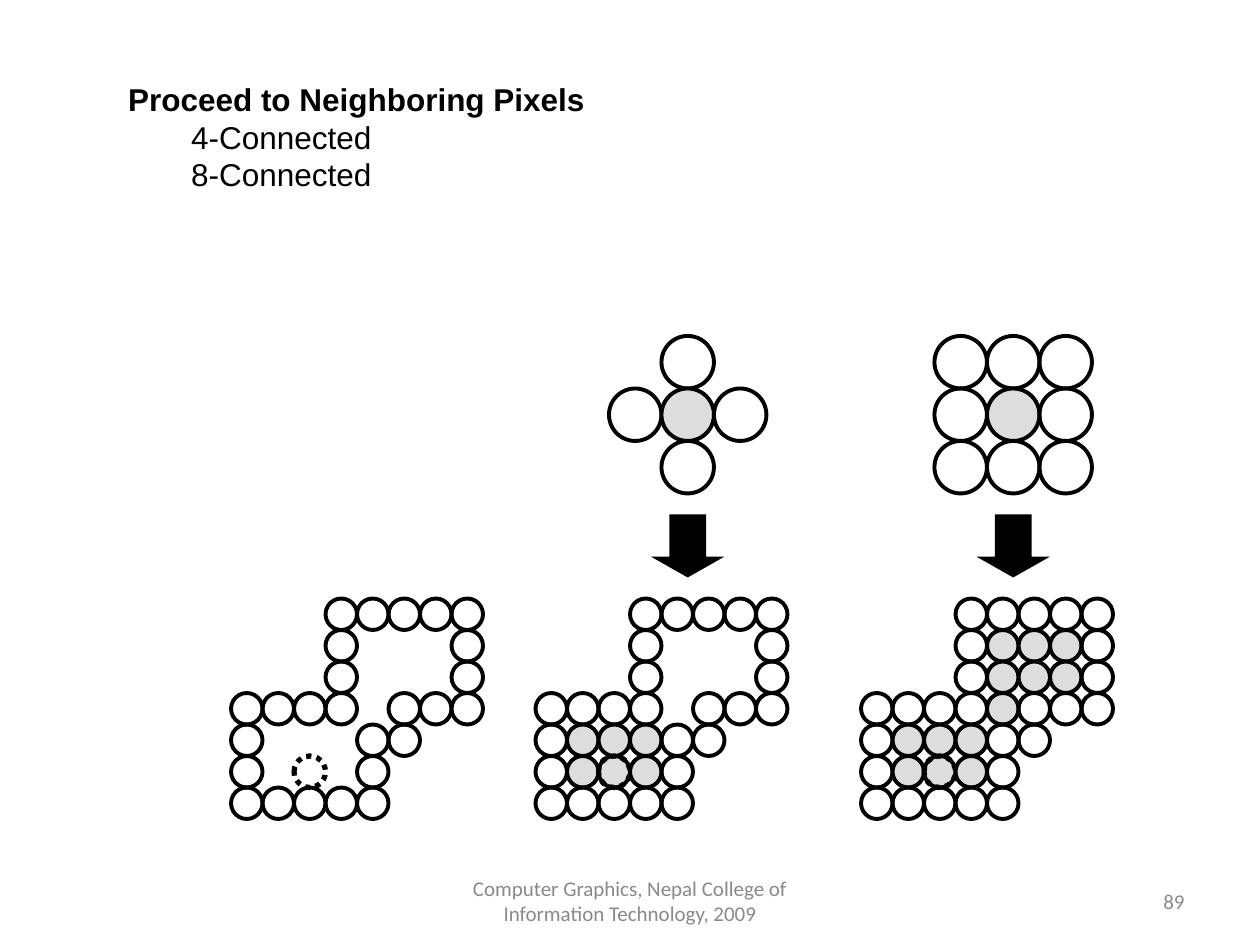
"""Build the slide on 4-connected and 8-connected neighboring pixels."""
from lxml import etree
from pptx import Presentation
from pptx.dml.color import RGBColor
from pptx.enum.dml import MSO_LINE
from pptx.enum.shapes import MSO_SHAPE
from pptx.enum.text import MSO_ANCHOR, MSO_AUTO_SIZE, PP_ALIGN
from pptx.oxml.ns import qn
from pptx.util import Pt

OVAL, DOWN_ARROW = MSO_SHAPE.OVAL, MSO_SHAPE.DOWN_ARROW
DOTTED = MSO_LINE.ROUND_DOT
TOP, MIDDLE = MSO_ANCHOR.TOP, MSO_ANCHOR.MIDDLE
LEFT, CENTER, RIGHT = PP_ALIGN.LEFT, PP_ALIGN.CENTER, PP_ALIGN.RIGHT
NO_FIT = MSO_AUTO_SIZE.NONE
BLACK = RGBColor(0x00, 0x00, 0x00)
SHADE = RGBColor(0xDD, 0xDD, 0xDD)
GRAY = RGBColor(0x89, 0x89, 0x89)

TITLE = "Proceed to Neighboring Pixels"
ITEMS = ["4-Connected", "8-Connected"]
FOOTER = "Computer Graphics, Nepal College of Information Technology, 2009"
PAGE = "89"

NEIGHBORS_4 = [".o.", "o#o", ".o."]
NEIGHBORS_8 = ["ooo", "o#o", "ooo"]
BOUNDARY = [
    "...ooooo",
    "...o...o",
    "...o...o",
    "oooo.ooo",
    "o...oo..",
    "o...o...",
    "ooooo...",
]
FILLED_4 = BOUNDARY[:4] + ["o###oo..", "o###o...", "ooooo..."]
FILLED_8 = ["...ooooo", "...o###o", "...o###o", "oooo#ooo"] + FILLED_4[4:]

PATTERNS = [(NEIGHBORS_4, 348, 192, 30), (NEIGHBORS_8, 534, 192, 30)]
REGIONS = [(BOUNDARY, 132), (FILLED_4, 306), (FILLED_8, 492)]
REGION_TOP, PIXEL = 342, 18
SEED_COL, SEED_ROW = 2, 5
ARROW_LEFTS = [372, 558]


def put_text(shape, lines, box, font="Arial", size=18, color=BLACK, bold=False,
             align=LEFT, anchor=TOP, indent=0):
    """Place a text shape and fill it with formatted paragraphs."""
    shape.left, shape.top, shape.width, shape.height = map(Pt, box)
    tf = shape.text_frame
    tf.word_wrap, tf.auto_size, tf.vertical_anchor = True, NO_FIT, anchor
    tf.margin_left = tf.margin_right = Pt(7.2)
    tf.margin_top = tf.margin_bottom = Pt(3.6)
    for i, text in enumerate(lines):
        p = tf.add_paragraph() if i else tf.paragraphs[0]
        p.alignment, p.space_before = align, Pt(0)
        pPr = p._p.get_or_add_pPr()
        pPr.set("marL", str(Pt(indent)))
        pPr.set("indent", "0")
        etree.SubElement(pPr, qn("a:buNone"))
        r = p.add_run()
        r.text = text
        r.font.name, r.font.size, r.font.bold = font, Pt(size), bold
        r.font.color.rgb = color


def add_circle(s, x, y, size, fill=None, weight=2.25, dash=None):
    """Draw one pixel as a circle."""
    sp = s.shapes.add_shape(OVAL, Pt(x), Pt(y), Pt(size), Pt(size))
    sp.shadow.inherit = False
    if fill is None:
        sp.fill.background()
    else:
        sp.fill.solid()
        sp.fill.fore_color.rgb = fill
    sp.line.color.rgb, sp.line.width = BLACK, Pt(weight)
    if dash is not None:
        sp.line.dash_style = dash


def add_grid(s, rows, left, top, size):
    """Draw a pixel map: o is hollow, # is shaded."""
    for i, row in enumerate(rows):
        for j, cell in enumerate(row):
            if cell != ".":
                add_circle(s, left + j * size, top + i * size, size,
                           fill=SHADE if cell == "#" else None)


def add_arrow(s, left):
    """Draw a solid down arrow."""
    sp = s.shapes.add_shape(DOWN_ARROW, Pt(left), Pt(294), Pt(42), Pt(36))
    sp.adjustments[0], sp.adjustments[1] = 0.5, 0.33
    sp.shadow.inherit = False
    sp.fill.solid()
    sp.fill.fore_color.rgb = BLACK
    sp.line.fill.background()


def main():
    """Assemble and save the slide."""
    prs = Presentation()
    prs.slide_width, prs.slide_height = Pt(720), Pt(540)
    s = prs.slides.add_slide(prs.slide_layouts[1])
    put_text(s.shapes.title, [TITLE], (66, 42, 360, 28), bold=True)
    put_text(s.placeholders[1], ITEMS, (66, 63.6, 360, 50), indent=36)
    for text, box, align in [(FOOTER, (246, 500.5, 228, 28.75), CENTER),
                             (PAGE, (516, 500.5, 168, 28.75), RIGHT)]:
        put_text(s.shapes.add_textbox(0, 0, 0, 0), [text], box, font="Calibri",
                 size=12, color=GRAY, align=align, anchor=MIDDLE)
    for pattern in PATTERNS:
        add_grid(s, *pattern)
    for rows, left in REGIONS:
        add_grid(s, rows, left, REGION_TOP, PIXEL)
        add_circle(s, left + SEED_COL * PIXEL, REGION_TOP + SEED_ROW * PIXEL,
                   PIXEL, weight=3, dash=DOTTED)
    for left in ARROW_LEFTS:
        add_arrow(s, left)
    prs.save("out.pptx")


if __name__ == "__main__":
    main()
